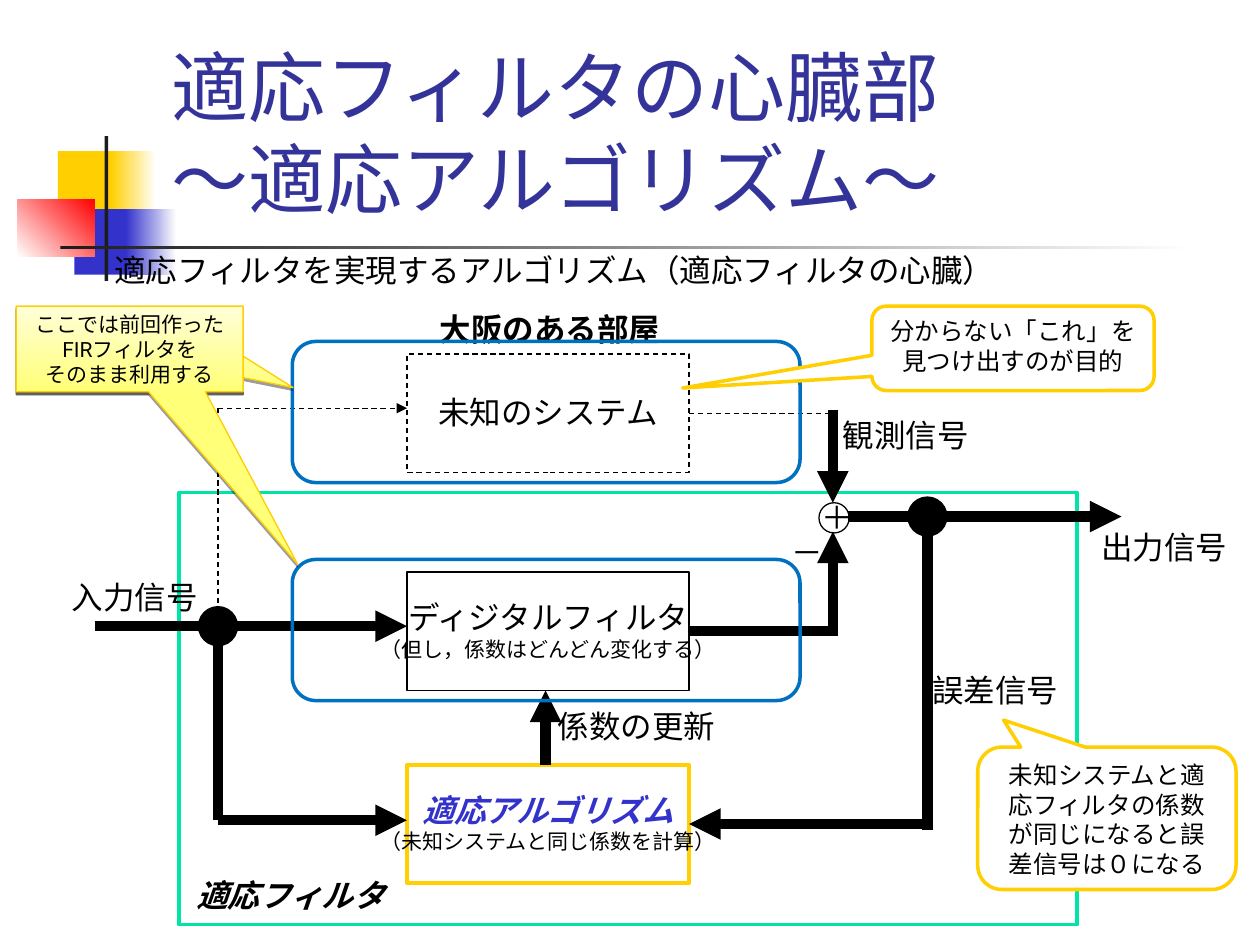
import pptx
import pptx.util
import pptx.dml.color
import pptx.enum.dml
import pptx.enum.shapes
import pptx.enum.text
import pptx.oxml.ns
from lxml import etree
from pptx.util import Inches

qn = pptx.oxml.ns.qn
MSO = pptx.enum.shapes.MSO_SHAPE
ANCHOR = pptx.enum.text.MSO_ANCHOR
ALIGN = pptx.enum.text.PP_ALIGN
AUTO_SIZE = pptx.enum.text.MSO_AUTO_SIZE

COLORS = {
    "black": "000000", "white": "FFFFFF", "ink": "1C1C1C", "title": "333399",
    "blue": "3333CC", "gold": "FFCF01", "red": "FF0000", "green": "00E4A8",
    "outline": "0070C0", "note_dark": "FFFF78", "note_light": "FFFFD7",
    "note_line": "FFCE00",
}


def rgb(name):
    return pptx.dml.color.RGBColor.from_string(COLORS[name])


def within(region, x, y, w, h):
    """Turn a box given relative to a region into slide inches."""
    return region[0] + x, region[1] + y, w, h


def add_shape(slide, kind, box, fill=None, line=None, width=0.75, angle=0):
    """Add a preset shape; a pair of colours as fill makes a gradient."""
    shape = slide.shapes.add_shape(kind, *map(Inches, box))
    shape.shadow.inherit = False
    if fill is None:
        shape.fill.background()
    elif isinstance(fill, tuple):
        shape.fill.gradient()
        shape.fill.gradient_angle = angle
        for stop, color in zip(shape.fill.gradient_stops, fill):
            stop.color.rgb = rgb(color)
    else:
        shape.fill.solid()
        shape.fill.fore_color.rgb = rgb(fill)
    if line:
        shape.line.color.rgb = rgb(line)
        shape.line.width = pptx.util.Pt(width)
    else:
        shape.line.fill.background()
    return shape


def style(paragraph, size, font="Arial", color="black", bold=False, italic=False, align=ALIGN.LEFT):
    paragraph.alignment = align
    paragraph.font.size = pptx.util.Pt(size)
    paragraph.font.name = font
    paragraph.font.bold = bold
    paragraph.font.italic = italic
    paragraph.font.color.rgb = rgb(color)


def add_label(slide, box, text, size=18, wrap=False, **look):
    label = slide.shapes.add_textbox(*map(Inches, box))
    frame = label.text_frame
    frame.word_wrap = wrap
    frame.auto_size = AUTO_SIZE.SHAPE_TO_FIT_TEXT
    frame.text = text
    style(frame.paragraphs[0], size, **look)
    return frame


def add_wire(slide, region, start, end, width=6, dashed=False, arrow=False):
    points = [Inches(region[i] + point[i]) for point in (start, end) for i in (0, 1)]
    wire = slide.shapes.add_connector(pptx.enum.shapes.MSO_CONNECTOR.STRAIGHT, *points)
    wire.line.color.rgb = rgb("black")
    wire.line.width = pptx.util.Pt(width)
    if dashed:
        wire.line.dash_style = pptx.enum.dml.MSO_LINE.DASH
    properties = wire.element.spPr
    if arrow:
        etree.SubElement(properties.find(qn("a:ln")), qn("a:tailEnd"), type="triangle")
    etree.SubElement(properties, qn("a:effectLst"))
    return wire


def add_title(slide, box):
    title = slide.shapes.title
    title.left, title.top, title.width, title.height = map(Inches, box)
    frame = title.text_frame
    frame.auto_size = AUTO_SIZE.NONE
    frame.vertical_anchor = ANCHOR.BOTTOM
    frame.text = "適応フィルタの心臓部\v～適応アルゴリズム～"
    style(frame.paragraphs[0], 44, font="Roboto", color="title")


def add_ornament(slide, region):
    """Coloured squares and crossing bars beside the title."""
    pieces = [
        ((0.32, 0.12, 0.48, 0.52), "gold", 0),
        ((0.74, 0.12, 0.36, 0.52), ("gold", "white"), 0),
        ((0.45, 0.58, 0.46, 0.52), "blue", 0),
        ((0.86, 0.58, 0.4, 0.52), ("blue", "white"), 0),
        ((0, 0.5, 0.61, 0.46), ("white", "red"), 45),
        ((0.69, 0, 0.03, 1.15), "ink", 0),
        ((0.34, 0.87, 9, 0.03), ("ink", "white"), 0),
    ]
    for box, fill, angle in pieces:
        add_shape(slide, MSO.RECTANGLE, within(region, *box), fill, angle=angle)


def add_block(slide, box, name, remark=None, dashed=False, fill=None, line="black", width=0.75, **look):
    """A system block with its caption centred on it."""
    block = add_shape(slide, MSO.RECTANGLE, box, fill, line, width)
    if dashed:
        block.line.dash_style = pptx.enum.dml.MSO_LINE.DASH
    caption_w, caption_h = (2.86, 0.6) if remark else (1.95, 0.4)
    caption_box = within(box, (box[2] - caption_w) / 2, (box[3] - caption_h) / 2 - 0.01,
                         caption_w, caption_h)
    caption = add_label(slide, caption_box, name, align=ALIGN.CENTER, **look)
    if remark:
        remark_line = caption.add_paragraph()
        remark_line.text = remark
        style(remark_line, 12, align=ALIGN.CENTER)
    return block


def add_diagram(slide, region):
    """Block diagram of the adaptive filter with its signal paths."""
    add_shape(slide, MSO.RECTANGLE, within(region, 1.42, 1.91, 7.13, 3.43), "white", "green", 2)
    block_x, block_w, block_h = 3.23, 2.24, 0.94
    block_right = block_x + block_w
    unknown_y, filter_y, algorithm_y = 0.81, 2.54, 4.07
    unknown, digital_filter, algorithm = [
        add_block(slide, within(region, block_x, y, block_w, block_h), name, **options)
        for y, name, options in [
            (unknown_y, "未知のシステム", {"dashed": True}),
            (filter_y, "ディジタルフィルタ", {"remark": "（但し，係数はどんどん変化する）"}),
            (algorithm_y, "適応アルゴリズム",
             {"remark": "（未知システムと同じ係数を計算）", "fill": "white", "line": "gold",
              "width": 2, "color": "blue", "bold": True, "italic": True}),
        ]
    ]
    add_shape(slide, MSO.OVAL, within(region, 6.5, 1.99, 0.24, 0.24), line="black")

    input_x, sum_x, error_x, update_x = 1.73, 6.61, 7.36, 4.33
    input_y, output_y = 2.97, 2.1
    thin = {"width": 0.75, "dashed": True}
    for start, end, options in [
        ((input_x, 1.24), (block_x, 1.24), {"arrow": True, **thin}),
        ((input_x, 1.24), (input_x, input_y), thin),
        ((0.75, input_y), (block_x, input_y), {"arrow": True}),
        ((input_x, input_y), (input_x, 4.51), {}),
        ((input_x, 4.51), (block_x, 4.51), {"arrow": True}),
        ((update_x, algorithm_y), (update_x, filter_y + block_h), {"arrow": True}),
        ((sum_x, 3.05), (sum_x, 2.22), {"arrow": True}),
        ((sum_x, 1.25), (sum_x, 1.99), {"arrow": True}),
        ((6.73, output_y), (8.9, output_y), {"arrow": True}),
        ((error_x, output_y), (error_x, 4.59), {}),
    ]:
        add_wire(slide, region, start, end, **options)
    for block, y, far_x, options in [(unknown, unknown_y, 6.58, thin), (digital_filter, filter_y, sum_x, {})]:
        middle = y + block_h / 2
        wire = add_wire(slide, region, (block_right, middle), (far_x, middle), **options)
        wire.begin_connect(block, 3)
    middle = algorithm_y + block_h / 2
    error_wire = add_wire(slide, region, (7.32, middle), (block_right, middle), arrow=True)
    error_wire.end_connect(algorithm, 3)

    for text, x, y, w in [
        ("入力信号", 0.47, 2.54, 1.2), ("出力信号", 8.64, 2.14, 1.2),
        ("観測信号", 6.59, 1.25, 1.2), ("誤差信号", 7.3, 3.28, 1.2),
        ("係数の更新", 4.33, 3.56, 1.45),
    ]:
        add_label(slide, within(region, x, y, w, 0.4), text)
    for text, x, y, w, look in [
        ("＋", 6.42, 1.9, 0.51, {}), ("－", 6.18, 2.18, 0.51, {}),
        ("大阪のある部屋", 3.39, 0.41, 2.01, {"bold": True}),
        ("適応フィルタ", 1.46, 4.9, 2.01, {"bold": True, "italic": True}),
    ]:
        add_label(slide, within(region, x, y, w, 0.4), text, wrap=True, **look)

    dot = 0.31
    for x, y in [(input_x, input_y), (error_x, output_y)]:
        add_shape(slide, MSO.OVAL, within(region, x - dot / 2, y - dot / 2, dot, dot), "black", "black")
    for y in (unknown_y, filter_y):
        add_shape(slide, MSO.ROUNDED_RECTANGLE, within(region, 2.32, y - 0.1, 4.03, 1.12),
                  line="outline", width=2)


def fill_callout(callout, pointer, lines, size, anchor):
    for index, value in enumerate(pointer):
        callout.adjustments[index] = value
    frame = callout.text_frame
    frame.word_wrap = True
    frame.vertical_anchor = anchor
    frame.text = "\n".join(lines)
    for paragraph in frame.paragraphs:
        style(paragraph, size, font="Roboto", align=ALIGN.CENTER)


def add_remark(slide, box, pointer, text):
    callout = add_shape(slide, MSO.ROUNDED_RECTANGULAR_CALLOUT, box, "white", "gold", 2)
    fill_callout(callout, pointer, [text], 14, ANCHOR.TOP)


def add_reuse_note(slide, box, pointers):
    """Shaded note with one callout for each block it points to."""
    for pointer in pointers:
        note = add_shape(slide, MSO.RECTANGULAR_CALLOUT, box, ("note_dark", "note_light"),
                         "note_line", angle=90)
        shadow = etree.SubElement(note.element.spPr.find(qn("a:effectLst")), qn("a:outerShdw"),
                                  dist="20000", dir="5400000", rotWithShape="0")
        shade = etree.SubElement(shadow, qn("a:srgbClr"), val=COLORS["black"])
        etree.SubElement(shade, qn("a:alpha"), val="38000")
        fill_callout(note, pointer, ["ここでは前回作った", "FIRフィルタを", "そのまま利用する"],
                     12, ANCHOR.MIDDLE)


def main():
    deck = pptx.Presentation()
    deck.slide_width, deck.slide_height = Inches(10), Inches(7.5)
    slide = deck.slides.add_slide(deck.slide_layouts[5])
    add_ornament(slide, (0.14, 1.08, 9.34, 1.15))
    add_title(slide, (1.26, 0.23, 8.52, 1.6))
    add_diagram(slide, (0, 2, 10, 5.5))
    add_label(slide, (0.81, 1.94, 7.2, 0.4),
              "適応フィルタを実現するアルゴリズム（適応フィルタの心臓）", font="Roboto")
    add_remark(slide, (6.92, 2.43, 2.24, 0.67), (-1.17, 0.47, 0.17),
               "分からない「これ」を見つけ出すのが目的")
    add_remark(slide, (7.76, 5.93, 2.05, 1.13), (-0.4, -0.69, 0.17),
               "未知システムと適応フィルタの係数が同じになると誤差信号は０になる")
    add_reuse_note(slide, (0.13, 2.43, 1.8, 0.68), [(0.72, 0.45), (0.74, 2.51)])
    deck.save("out.pptx")


if __name__ == "__main__":
    main()
